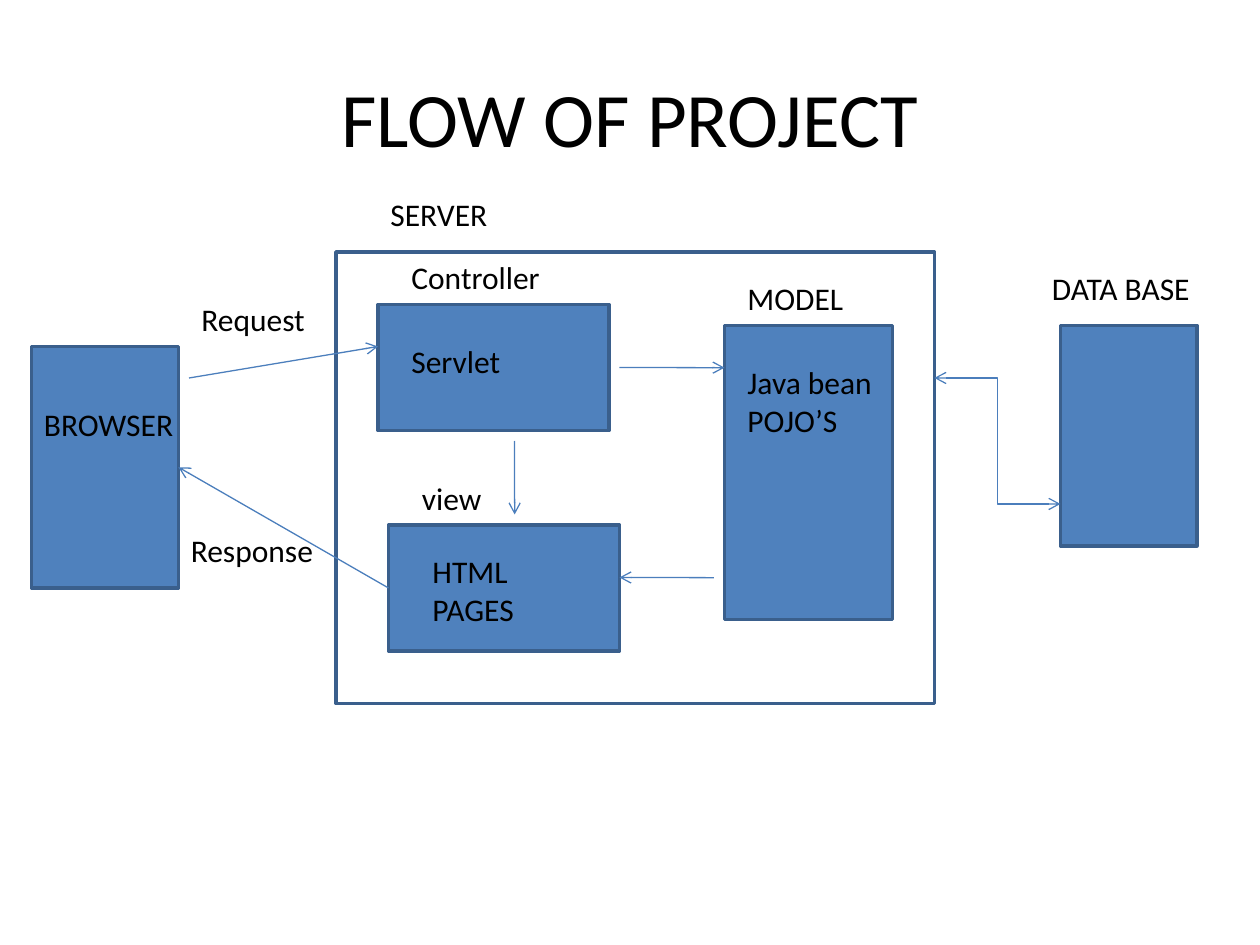
"""Build the project flow slide: browser, server and data base on a grid of twelfths of an inch."""
from lxml import etree
from pptx import Presentation, util as u
from pptx.dml.color import RGBColor
from pptx.enum import shapes, text
from pptx.oxml.ns import qn

BLACK = RGBColor(0x00, 0x00, 0x00)
WHITE = RGBColor(0xFF, 0xFF, 0xFF)
BLUE = RGBColor(0x4F, 0x81, 0xBD)
EDGE = RGBColor(0x3A, 0x5F, 0x8C)
ARROW = RGBColor(0x4B, 0x7E, 0xBC)
FONT = "Calibri"

TITLE = "FLOW OF PROJECT"
BROWSER = (3, 33, 14, 23)
SERVER = (32, 24, 57, 43)
DATA_BASE = (101, 31, 13, 21)
CONTROLLER = (36, 29, 22, 12)
VIEW = (37, 50, 22, 12)
MODEL = (69, 31, 16, 28)
BOXES = [
    (BROWSER, BLUE), (SERVER, WHITE), (DATA_BASE, BLUE),
    (CONTROLLER, BLUE), (VIEW, BLUE), (MODEL, BLUE),
]
LABELS = [
    (["Controller"], 38, 24, 15, 1),
    (["MODEL"], 70, 26, 15, 1),
    (["Request"], 18, 28, 15, 1),
    (["Response"], 17, 50, 17, 1),
    (["SERVER"], 36, 18, 15, 1),
    (["BROWSER"], 3, 38, 15, 1),
    (["DATA BASE"], 99, 25, 17, 1),
    (["view"], 39, 45, 15, 1),
    (["Java bean ", "POJO’S"], 70, 34, 15, 2),
    (["HTML PAGES"], 40, 52, 15, 2),
    (["Servlet"], 38, 32, 15, 1),
]
STRAIGHT, ELBOW = shapes.MSO_CONNECTOR.STRAIGHT, shapes.MSO_CONNECTOR.ELBOW
ARROWS = [
    (STRAIGHT, (18, 36), (36, 33), ["tailEnd"]),
    (STRAIGHT, (37, 56), (17, 44.5), ["tailEnd"]),
    (ELBOW, (89, 36), (101, 48), ["headEnd", "tailEnd"]),
    (STRAIGHT, (59, 35), (69, 35.02), ["tailEnd"]),
    (STRAIGHT, (68, 55.02), (59, 55), ["tailEnd"]),
    (STRAIGHT, (49, 42), (49.02, 49), ["tailEnd"]),
]


def grid(*cells):
    return [u.Inches(c / 12) for c in cells]


def add_text(s, lines, place, size, **frame):
    tf = s.shapes.add_textbox(*place).text_frame
    for name, value in {"word_wrap": True, **frame}.items():
        setattr(tf, name, value)
    for i, line in enumerate(lines):
        p = tf.paragraphs[0] if i == 0 else tf.add_paragraph()
        r = p.add_run()
        r.text = line
        for name, value in {"name": FONT, "size": u.Pt(size)}.items():
            setattr(r.font, name, value)
        r.font.color.rgb = BLACK
    return tf


def add_box(s, place, fill):
    sp = s.shapes.add_shape(shapes.MSO_SHAPE.RECTANGLE, *grid(*place))
    sp.shadow.inherit = False
    sp.fill.solid()
    sp.fill.fore_color.rgb = fill
    sp.line.color.rgb = EDGE
    sp.line.width = u.Pt(2)


def add_arrow(s, kind, start, end, heads):
    c = s.shapes.add_connector(kind, *grid(*start, *end))
    c.line.color.rgb = ARROW
    c.line.width = u.Pt(0.75)
    ln = c._element.spPr.find(qn("a:ln"))
    for head in heads:
        etree.SubElement(ln, qn(f"a:{head}"), type="arrow")
    etree.SubElement(c._element.spPr, qn("a:effectLst"))


prs = Presentation()
prs.slide_width, prs.slide_height = u.Inches(10), u.Inches(7.5)
s = prs.slides.add_slide(prs.slide_layouts[6])

title = add_text(s, [TITLE], [u.Inches(v) for v in (0.5, 0.3, 9, 1.25)], 44,
                 vertical_anchor=text.MSO_ANCHOR.MIDDLE)
title.paragraphs[0].alignment = text.PP_ALIGN.CENTER
for box in BOXES:
    add_box(s, *box)
for lines, x, y, w, rows in LABELS:
    place = grid(x, y, w) + [u.Inches(0.1 + 0.3 * rows)]
    add_text(s, lines, place, 18, auto_size=text.MSO_AUTO_SIZE.SHAPE_TO_FIT_TEXT)
for arrow in ARROWS:
    add_arrow(s, *arrow)

prs.save("out.pptx")
